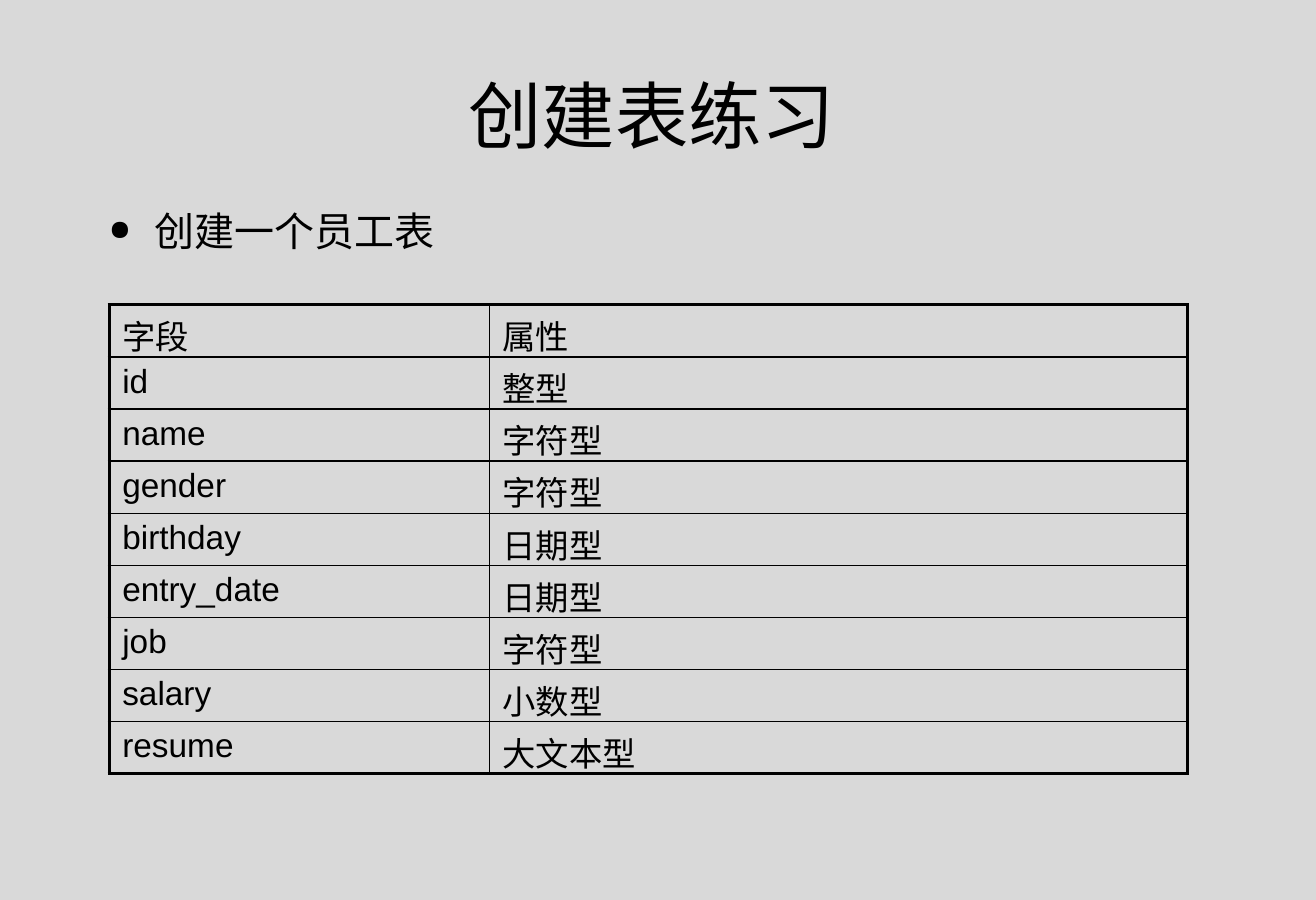
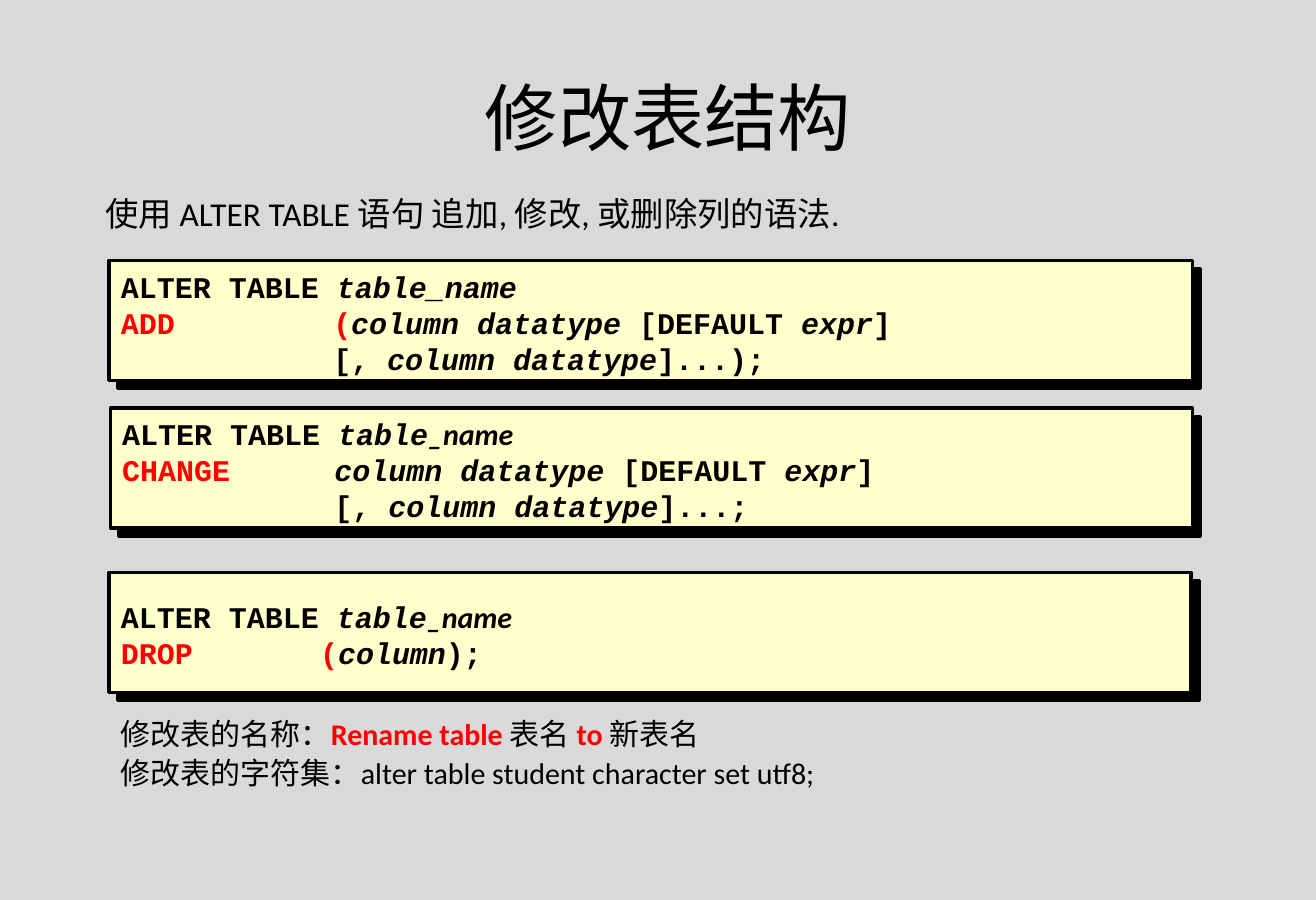
"""Build two slides on creating and altering database tables."""
from dataclasses import dataclass

from lxml import etree
from pptx import Presentation
from pptx.dml.color import RGBColor
from pptx.enum import shapes, text
from pptx.oxml import parse_xml
from pptx.oxml.ns import nsdecls, qn
from pptx.util import Inches, Length, Pt

BLACK = RGBColor(0x00, 0x00, 0x00)
RED = RGBColor(0xFF, 0x00, 0x00)
GREY = RGBColor(0xD9, 0xD9, 0xD9)
CREAM = RGBColor(0xFF, 0xFF, 0xCC)
CJK, SANS, CELL, MONO = "Noto Sans CJK SC", "Calibri", "Arial", "Courier New"

FIELDS = [
    ("字段", "属性"),
    ("id", "整型"),
    ("name", "字符型"),
    ("gender", "字符型"),
    ("birthday", "日期型"),
    ("entry_date", "日期型"),
    ("job", "字符型"),
    ("salary", "小数型"),
    ("resume", "大文本型"),
]


@dataclass(frozen=True)
class Box:
    """Position and size in inches."""
    left: float
    top: float
    width: float
    height: float

    def emu(self) -> tuple[Length, ...]:
        """Return the four lengths."""
        return tuple(map(Inches, (self.left, self.top, self.width, self.height)))


@dataclass(frozen=True)
class Run:
    """A stretch of text with one format."""
    text: str
    color: RGBColor = BLACK
    bold: bool = False
    italic: bool = False
    font: str = SANS


@dataclass(frozen=True)
class Panel:
    """A syntax panel: its rectangle, tab stop and lines of code."""
    box: Box
    tab: float
    lines: list[list[Run]]


def code(value: str, color: RGBColor = BLACK) -> Run:
    """Return upright code."""
    return Run(value, color, True, False, MONO)


def arg(value: str, font: str = MONO) -> Run:
    """Return an italic code argument."""
    return Run(value, BLACK, True, True, font)


DEFINITION = [arg("column datatype "), code("[DEFAULT "), arg("expr"), code("]")]
MORE = [code("\t[, "), arg("column datatype")]
ALTER = code("ALTER TABLE ")
MIXED_NAME = [ALTER, arg("table"), arg("_name", SANS)]
PANELS = [
    Panel(Box(0.91, 2.17, 9.03, 1), 1.77, [
        [ALTER, arg("table_name")],
        [code("ADD\t(", RED), *DEFINITION],
        [*MORE, code("]...);")],
    ]),
    Panel(Box(0.92, 3.4, 9.02, 1), 1.77, [
        MIXED_NAME,
        [code("CHANGE\t", RED), *DEFINITION],
        [*MORE, code("]...;")],
    ]),
    Panel(Box(0.91, 4.77, 9.02, 1), 1.66, [
        MIXED_NAME,
        [code("DROP\t(", RED), arg("column"), code(");")],
    ]),
]
NOTES = [
    [Run("修改表的名称："), Run("Rename table", RED, True), Run(" 表名"),
     Run(" to", RED, True), Run(" 新表名")],
    [Run("修改表的字符集：alter table student character set utf8;")],
]


def assign(target, **values) -> None:
    """Set attributes of an object from format values."""
    for name, value in values.items():
        setattr(target, name, value)


def add_runs(p, runs: list[Run], size: float) -> None:
    """Write formatted runs into a paragraph."""
    for run in runs:
        r = p.add_run()
        r.text = run.text
        assign(r.font, name=run.font, size=Pt(size), bold=run.bold, italic=run.italic)
        r.font.color.rgb = run.color
        etree.SubElement(r.font._element, qn("a:ea"), typeface=CJK)


def add_text(s, box: Box, lines: list[list[Run]], size: float, spacing: float = 1,
             before: float = 0, anchor=text.MSO_ANCHOR.TOP):
    """Add a wrapping text box and return its text frame."""
    tf = s.shapes.add_textbox(*box.emu()).text_frame
    assign(tf, word_wrap=True, vertical_anchor=anchor)
    for i, runs in enumerate(lines):
        p = tf.add_paragraph() if i else tf.paragraphs[0]
        assign(p, line_spacing=spacing, space_before=Pt(before if i else 0))
        add_runs(p, runs, size)
    return tf


def add_titled_slide(prs, title: str, box: Box):
    """Add a title-only slide with its title placed and formatted."""
    s = prs.slides.add_slide(prs.slide_layouts[5])
    sp = s.shapes.title
    assign(sp, **dict(zip(("left", "top", "width", "height"), box.emu())))
    tf = sp.text_frame
    assign(tf, vertical_anchor=text.MSO_ANCHOR.MIDDLE, word_wrap=True,
           auto_size=text.MSO_AUTO_SIZE.NONE)
    p = tf.paragraphs[0]
    p.alignment = text.PP_ALIGN.CENTER
    add_runs(p, [Run(title, font=CJK)], 44)
    return s


def add_bullet(p) -> None:
    """Give a paragraph a small round bullet with a hanging indent."""
    pPr = p._p.get_or_add_pPr()
    assign_indent = {"marL": Inches(0.38), "indent": Inches(-0.38)}
    for name, value in assign_indent.items():
        pPr.set(name, str(int(value)))
    etree.SubElement(pPr, qn("a:buSzPct"), val="70000")
    etree.SubElement(pPr, qn("a:buChar"), char="●")


def set_borders(cell, widths: dict[str, float]) -> None:
    """Draw the cell's black borders, widths in points by side."""
    tcPr = cell._tc.get_or_add_tcPr()
    for i, (side, width) in enumerate(widths.items()):
        tcPr.insert(i, parse_xml(
            f'<a:{side} {nsdecls("a")} w="{int(Pt(width))}"><a:solidFill>'
            f'<a:srgbClr val="{BLACK}"/></a:solidFill></a:{side}>'))


def add_field_table(s, box: Box, rows: list[tuple[str, str]], widths: list[float]) -> None:
    """Add an unfilled grid with a thick outer frame."""
    table = s.shapes.add_table(len(rows), len(widths), *box.emu()).table
    assign(table, first_row=False, horz_banding=False)
    for column, width in zip(table.columns, widths):
        column.width = Inches(width)
    for i, row in enumerate(rows):
        for j, value in enumerate(row):
            cell = table.cell(i, j)
            assign(cell, margin_left=Inches(0.11), margin_right=Inches(0.11))
            cell.fill.background()
            outer = {"lnL": j == 0, "lnR": j == len(widths) - 1,
                     "lnT": i == 0, "lnB": i == len(rows) - 1}
            set_borders(cell, {k: 2.25 if edge else 1 for k, edge in outer.items()})
            add_runs(cell.text_frame.paragraphs[0], [Run(value, font=CELL)], 20)


def add_panel(s, panel: Panel) -> None:
    """Add a cream rectangle with a hard shadow and code over it."""
    box = panel.box
    sp = s.shapes.add_shape(shapes.MSO_SHAPE.RECTANGLE, *box.emu())
    sp.fill.solid()
    sp.fill.fore_color.rgb = CREAM
    sp.line.color.rgb = BLACK
    sp.line.width = Pt(2)
    sp.shadow.inherit = False
    effects = sp._element.spPr.find(qn("a:effectLst"))
    effects.append(parse_xml(
        f'<a:outerShdw {nsdecls("a")} dist="{int(Pt(7.1))}" dir="2700000" algn="ctr" '
        f'rotWithShape="0"><a:srgbClr val="{BLACK}"/></a:outerShdw>'))
    tf = add_text(s, Box(box.left, box.top, 8.76, 1.03), panel.lines, 18,
                  anchor=text.MSO_ANCHOR.MIDDLE)
    for p in tf.paragraphs:
        tabs = etree.SubElement(p._p.get_or_add_pPr(), qn("a:tabLst"))
        etree.SubElement(tabs, qn("a:tab"), pos=str(int(Inches(panel.tab))), algn="l")


def main() -> None:
    """Build and save the presentation."""
    prs = Presentation()
    assign(prs, slide_width=Inches(10.97), slide_height=Inches(7.5))
    fill = prs.slide_master.background.fill
    fill.solid()
    fill.fore_color.rgb = GREY

    s = add_titled_slide(prs, "创建表练习", Box(0.82, 0.6, 9.23, 0.71))
    tf = add_text(s, Box(0.81, 1.72, 9.36, 0.46), [[Run("创建一个员工表")]], 24, 0.9)
    add_bullet(tf.paragraphs[0])
    add_field_table(s, Box(0.91, 2.54, 8.99, 3.91), FIELDS, [3.17, 5.82])

    s = add_titled_slide(prs, "修改表结构", Box(0.91, 0.57, 9.32, 0.79))
    add_text(s, Box(0.78, 1.61, 9.33, 0.39),
             [[Run("使用 ALTER TABLE 语句 追加, 修改, 或删除列的语法.")]], 20, 0.85)
    for panel in PANELS:
        add_panel(s, panel)
    add_text(s, Box(0.91, 5.95, 9.07, 0.71), NOTES, 18, 0.9, 3.6)
    prs.save("out.pptx")


if __name__ == "__main__":
    main()
